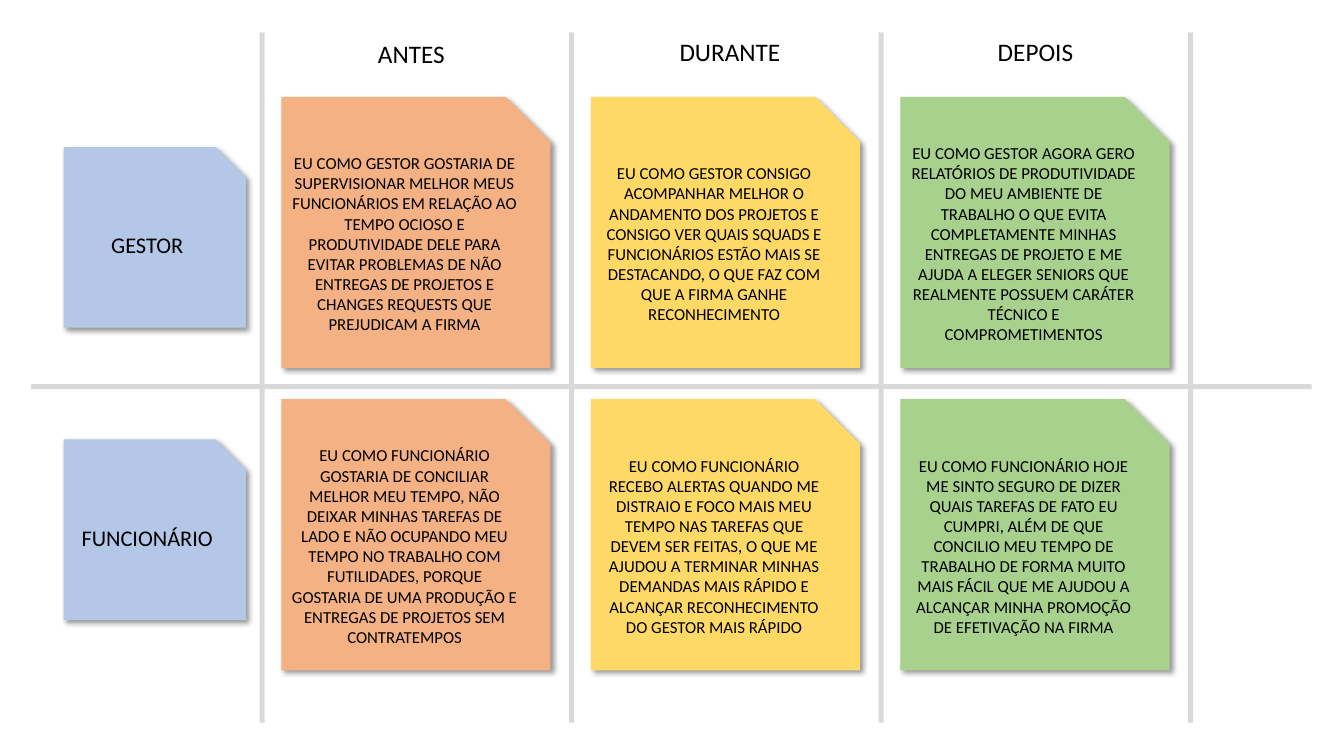
from dataclasses import dataclass

from lxml.etree import SubElement
from pptx import Presentation
from pptx.dml.color import RGBColor
from pptx.enum.shapes import MSO_SHAPE as Preset
from pptx.enum.text import MSO_ANCHOR as Anchor, MSO_AUTO_SIZE as AutoSize, PP_ALIGN as Align
from pptx.oxml.ns import qn
from pptx.util import Inches, Pt

COLORS = {
    "rule": "D9D9D9",
    "role": "B4C7E7",
    "before": "F4B183",
    "during": "FFD966",
    "after": "A9D18E",
    "ink": "000000",
}
WIDTH, HEIGHT = 13.33, 7.5
COLUMN_START, COLUMN_PITCH = 2.6, 3.07
RULE = 0.05
NOTE_INSET = 0.19
NOTE_TOP, NOTE_PITCH = 0.96, 3.0
ROLE_TOP, ROLE_PITCH = 1.46, 2.9


@dataclass(frozen=True)
class Area:
    left: float
    top: float
    width: float
    height: float

    def emu(self) -> list[int]:
        return [Inches(value) for value in (self.left, self.top, self.width, self.height)]


@dataclass(frozen=True)
class Stage:
    title: str
    color: str
    title_inset: float
    title_top: float
    stories: tuple[str, str]


ROLES = ("GESTOR", "FUNCIONÁRIO")
STAGES = (
    Stage("ANTES", "before", 0.2, 0.33, (
        "EU COMO GESTOR GOSTARIA DE SUPERVISIONAR MELHOR MEUS FUNCIONÁRIOS EM RELAÇÃO AO "
        "TEMPO OCIOSO E PRODUTIVIDADE DELE PARA EVITAR PROBLEMAS DE NÃO ENTREGAS DE PROJETOS "
        "E CHANGES REQUESTS QUE PREJUDICAM A FIRMA",
        "EU COMO FUNCIONÁRIO GOSTARIA DE CONCILIAR MELHOR MEU TEMPO, NÃO DEIXAR MINHAS "
        "TAREFAS DE LADO E NÃO OCUPANDO MEU TEMPO NO TRABALHO COM FUTILIDADES, PORQUE "
        "GOSTARIA DE UMA PRODUÇÃO E ENTREGAS DE PROJETOS SEM CONTRATEMPOS",
    )),
    Stage("DURANTE", "during", 0.29, 0.31, (
        "EU COMO GESTOR CONSIGO ACOMPANHAR MELHOR O ANDAMENTO DOS PROJETOS E CONSIGO VER "
        "QUAIS SQUADS E FUNCIONÁRIOS ESTÃO MAIS SE DESTACANDO, O QUE FAZ COM QUE A FIRMA "
        "GANHE RECONHECIMENTO",
        "EU COMO FUNCIONÁRIO RECEBO ALERTAS QUANDO ME DISTRAIO E FOCO MAIS MEU TEMPO NAS "
        "TAREFAS QUE DEVEM SER FEITAS, O QUE ME AJUDOU A TERMINAR MINHAS DEMANDAS MAIS "
        "RÁPIDO E ALCANÇAR RECONHECIMENTO DO GESTOR MAIS RÁPIDO",
    )),
    Stage("DEPOIS", "after", 0.25, 0.31, (
        "EU COMO GESTOR AGORA GERO RELATÓRIOS DE PRODUTIVIDADE DO MEU AMBIENTE DE TRABALHO "
        "O QUE EVITA COMPLETAMENTE MINHAS ENTREGAS DE PROJETO E ME AJUDA A ELEGER SENIORS "
        "QUE REALMENTE POSSUEM CARÁTER TÉCNICO E COMPROMETIMENTOS",
        "EU COMO FUNCIONÁRIO HOJE ME SINTO SEGURO DE DIZER QUAIS TAREFAS DE FATO EU CUMPRI, "
        "ALÉM DE QUE CONCILIO MEU TEMPO DE TRABALHO DE FORMA MUITO MAIS FÁCIL QUE ME AJUDOU "
        "A ALCANÇAR MINHA PROMOÇÃO DE EFETIVAÇÃO NA FIRMA",
    )),
)


def column_left(column: int) -> float:
    return COLUMN_START + column * COLUMN_PITCH


def write(box, text: str, size: int, frame_format: dict) -> None:
    frame = box.text_frame
    for name, value in {"word_wrap": True, **frame_format}.items():
        setattr(frame, name, value)
    para = frame.paragraphs[0]
    para.alignment = Align.CENTER
    span = para.add_run()
    span.text = text
    for name, value in {"name": "Calibri", "size": Pt(size)}.items():
        setattr(span.font, name, value)
    span.font.color.rgb = RGBColor.from_string(COLORS["ink"])


def add_block(page, preset: Preset, area: Area, color: str):
    block = page.shapes.add_shape(preset, *area.emu())
    block.shadow.inherit = False
    block.fill.solid()
    block.fill.fore_color.rgb = RGBColor.from_string(COLORS[color])
    block.line.fill.background()
    return block


def add_note(page, area: Area, color: str, text: str, size: int) -> None:
    note = add_block(page, Preset.SNIP_1_RECTANGLE, area, color)
    effects = note._element.spPr.find(qn("a:effectLst"))
    shadow = SubElement(effects, qn("a:outerShdw"), blurRad=str(Pt(4)), dist=str(Pt(3)),
                        dir="2700000", algn="tl", rotWithShape="0")
    tone = SubElement(shadow, qn("a:srgbClr"), val=COLORS["ink"])
    SubElement(tone, qn("a:alpha"), val="40000")
    write(note, text, size, {"vertical_anchor": Anchor.MIDDLE})


def add_title(page, area: Area, text: str) -> None:
    box = page.shapes.add_textbox(*area.emu())
    write(box, text, 18, {"auto_size": AutoSize.SHAPE_TO_FIT_TEXT})


deck = Presentation()
deck.slide_width, deck.slide_height = Inches(WIDTH), Inches(HEIGHT)
page = deck.slides.add_slide(deck.slide_layouts[6])

for column in range(len(STAGES) + 1):
    rule_area = Area(column_left(column) - RULE / 2, 0.32, RULE, 6.85)
    add_block(page, Preset.RECTANGLE, rule_area, "rule")
add_block(page, Preset.RECTANGLE, Area(0.31, 3.81, 12.7, RULE), "rule")

for row, role in enumerate(ROLES):
    add_note(page, Area(0.63, ROLE_TOP + row * ROLE_PITCH, 1.81, 1.79), "role", role, 16)

for column, stage in enumerate(STAGES):
    left = column_left(column)
    for row, story in enumerate(stage.stories):
        note_area = Area(left + NOTE_INSET, NOTE_TOP + row * NOTE_PITCH, 2.67, 2.69)
        add_note(page, note_area, stage.color, story, 12)
    add_title(page, Area(left + stage.title_inset, stage.title_top, 2.56, 0.4), stage.title)

deck.save("out.pptx")
